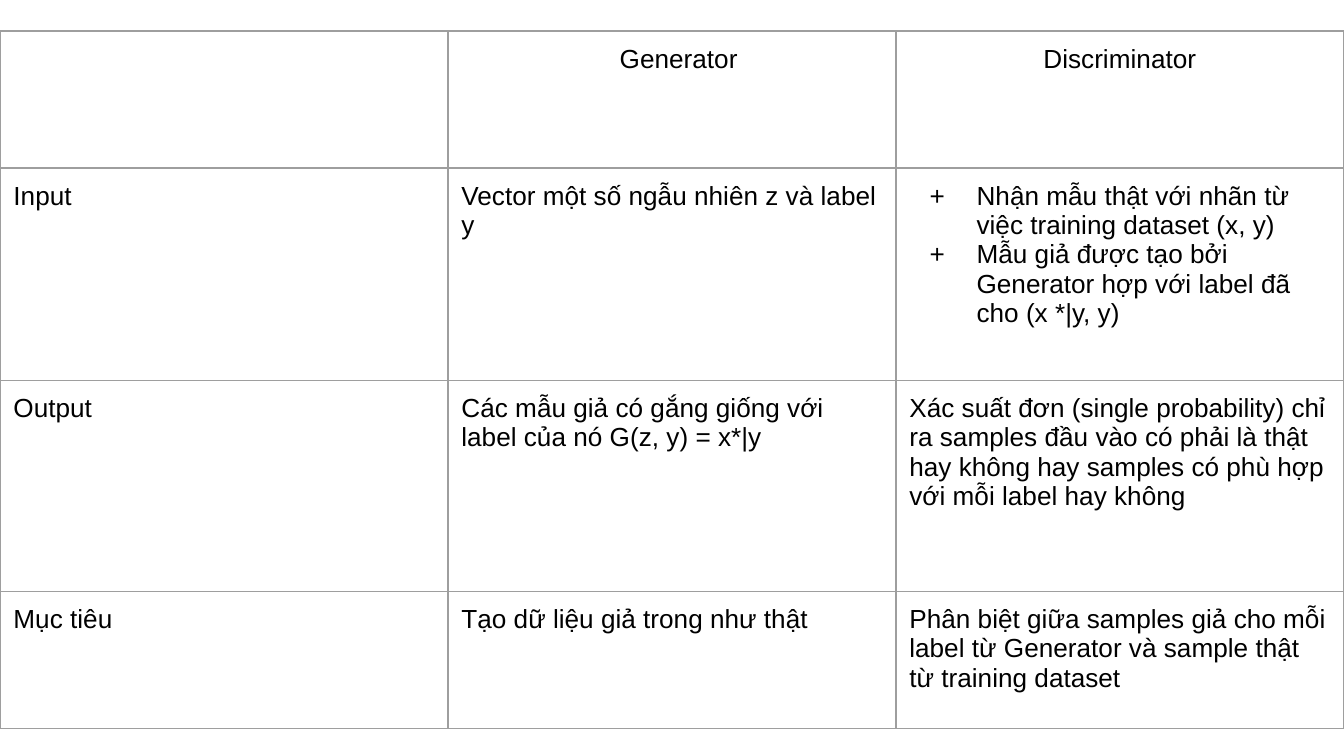
from lxml.etree import SubElement
from pptx import Presentation
from pptx.dml.color import RGBColor
from pptx.enum.text import PP_ALIGN as Align
from pptx.oxml.ns import qn
from pptx.util import Inches, Pt

BLACK = RGBColor(0x00, 0x00, 0x00)
GRAY = RGBColor(0x9E, 0x9E, 0x9E)

SLIDE_WIDTH = 10
SLIDE_HEIGHT = SLIDE_WIDTH * 9 / 16
ROW_HEIGHTS = [1.02, 1.58, 1.57, 1.02]
ROWS = [
    ["", "Generator", "Discriminator"],
    ["Input", "Vector một số ngẫu nhiên z và label y",
     ["Nhận mẫu thật với nhãn từ việc training dataset (x, y)",
      "Mẫu giả được tạo bởi Generator hợp với label đã cho (x *|y, y)"]],
    ["Output", "Các mẫu giả có gắng giống với label của nó G(z, y) = x*|y",
     "Xác suất đơn (single probability) chỉ ra samples đầu vào có phải là thật "
     "hay không hay samples có phù hợp với mỗi label hay không"],
    ["Mục tiêu", "Tạo dữ liệu giả trong như thật",
     "Phân biệt giữa samples giả cho mỗi label từ Generator và sample thật "
     "từ training dataset"],
]


def add_color(parent, color):
    SubElement(parent, qn("a:srgbClr"), val=str(color))


def add_bullet(p, char):
    pPr = p._p.get_or_add_pPr()
    pPr.set("marL", str(Inches(0.5)))
    pPr.set("indent", str(Inches(-0.35)))
    add_color(SubElement(pPr, qn("a:buClr")), BLACK)
    SubElement(pPr, qn("a:buFont"), typeface="Arial")
    SubElement(pPr, qn("a:buChar"), char=char)


def write(p, text, size=14, font="Arial", color=BLACK, align=Align.LEFT, bullet=None):
    p.alignment = align
    if bullet:
        add_bullet(p, bullet)
    r = p.add_run()
    r.text = text
    r.font.size = Pt(size)
    r.font.name = font
    r.font.color.rgb = color


def add_borders(cell, color=GRAY, width=0.75):
    tcPr = cell._tc.get_or_add_tcPr()
    for i, side in enumerate(("lnL", "lnR", "lnT", "lnB")):
        ln = tcPr.makeelement(qn(f"a:{side}"), {"w": str(Pt(width))})
        add_color(SubElement(ln, qn("a:solidFill")), color)
        tcPr.insert(i, ln)


def fill_cell(cell, content, align):
    cell.margin_left = cell.margin_right = Inches(0.1)
    cell.margin_top = cell.margin_bottom = Inches(0.1)
    cell.fill.background()
    add_borders(cell)
    tf = cell.text_frame
    if isinstance(content, list):
        for i, item in enumerate(content):
            p = tf.add_paragraph() if i else tf.paragraphs[0]
            write(p, item, bullet="+")
    elif content:
        write(tf.paragraphs[0], content, align=align)


def add_comparison_table(s):
    table = s.shapes.add_table(
        len(ROWS), len(ROWS[0]), Inches(0), Inches(0.23),
        Inches(SLIDE_WIDTH), Inches(sum(ROW_HEIGHTS))).table
    table.first_row = False
    table.horz_banding = False
    for column in table.columns:
        column.width = Inches(SLIDE_WIDTH / len(ROWS[0]))
    for i, (height, contents) in enumerate(zip(ROW_HEIGHTS, ROWS)):
        table.rows[i].height = Inches(height)
        align = Align.LEFT if i else Align.CENTER
        for j, content in enumerate(contents):
            fill_cell(table.cell(i, j), content, align)
    table.cell(0, 1).margin_left = Inches(0.2)


def main():
    prs = Presentation()
    prs.slide_width = Inches(SLIDE_WIDTH)
    prs.slide_height = Inches(SLIDE_HEIGHT)
    s = prs.slides.add_slide(prs.slide_layouts[6])
    add_comparison_table(s)
    prs.save("out.pptx")


if __name__ == "__main__":
    main()
